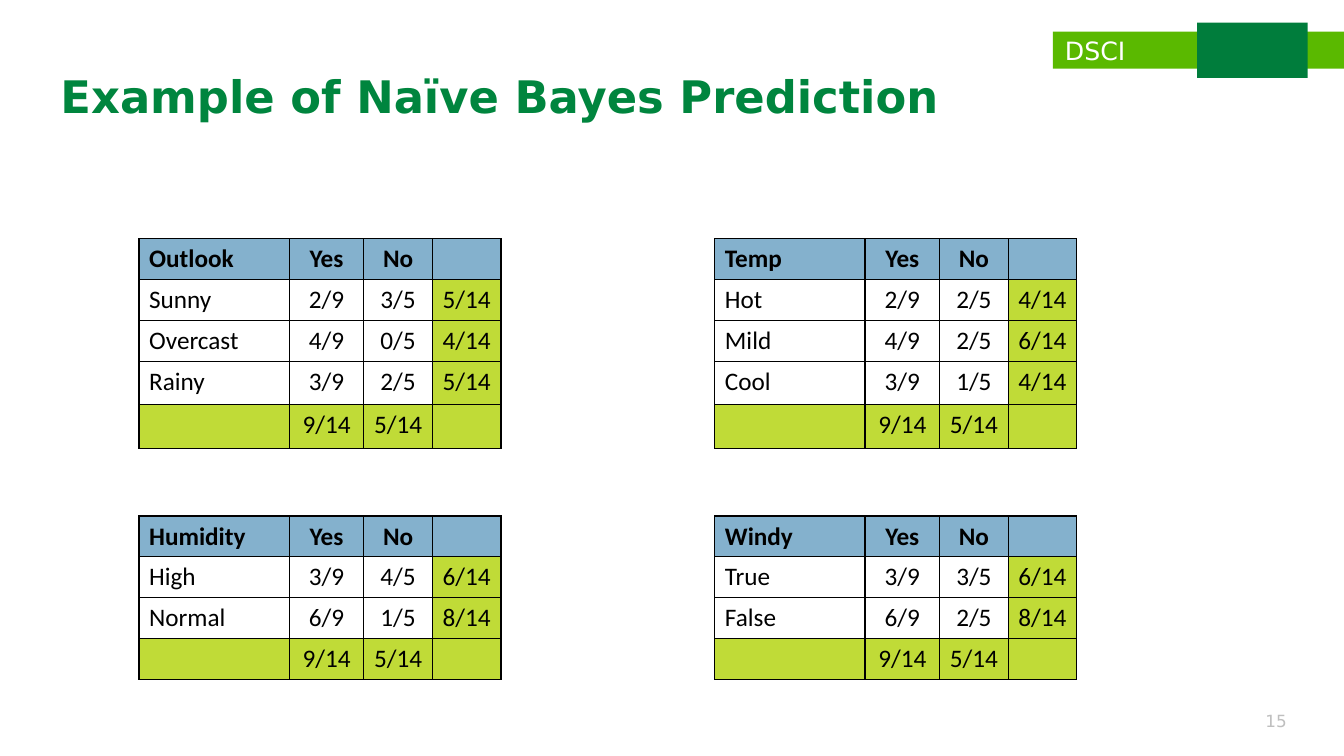
from collections import namedtuple

from lxml.etree import SubElement
from pptx import Presentation
from pptx.dml.color import RGBColor
from pptx.enum.shapes import MSO_SHAPE
from pptx.enum.text import MSO_ANCHOR, PP_ALIGN
from pptx.oxml.ns import qn
from pptx.util import Inches, Pt

Box = namedtuple("Box", "left top width height")
SLIDE = Box(0, 0, Inches(13.33), Inches(7.5))

LIME, GREEN, TITLE_GREEN = "5AB900", "007D3C", "00853E"
HEADER_BLUE, TOTAL_LIME = "84B1CD", "C0DB37"
BLACK, WHITE, GREY = "000000", "FFFFFF", "BFBFBF"
SANS, TABLE_FONT = "DejaVu Sans", "Calibri"

COLUMN_SHARES = (41.5, 20.6, 18.95, 18.95)
ROW_SHARE, TALL_ROW_SHARE = 5.4, 5.75
TOTALS = ["", "9/14", "5/14", ""]
# Each entry: table heading, then its value rows; two tables a line.
TABLES = [
    ("Outlook", ["Sunny 2/9 3/5 5/14", "Overcast 4/9 0/5 4/14", "Rainy 3/9 2/5 5/14"]),
    ("Temp", ["Hot 2/9 2/5 4/14", "Mild 4/9 2/5 6/14", "Cool 3/9 1/5 4/14"]),
    ("Humidity", ["High 3/9 4/5 6/14", "Normal 6/9 1/5 8/14"]),
    ("Windy", ["True 3/9 3/5 6/14", "False 6/9 2/5 8/14"]),
]


def color(hex_string):
    """Turn a hex string into a colour."""
    return RGBColor.from_string(hex_string)


def part(box, left, top, width, height):
    """Return the part of a box given in percent of its size."""
    return Box(int(box.left + box.width * left / 100), int(box.top + box.height * top / 100),
               int(box.width * width / 100), int(box.height * height / 100))


def write(frame, text, size=18, font=SANS, fill=BLACK, bold=False,
          align=PP_ALIGN.LEFT, anchor=MSO_ANCHOR.TOP, spacing=None):
    """Write one formatted paragraph into a text frame."""
    frame.word_wrap = True
    frame.vertical_anchor = anchor
    paragraph = frame.paragraphs[0]
    paragraph.alignment = align
    paragraph.line_spacing = spacing
    run = paragraph.add_run()
    run.text = text
    run.font.size, run.font.name, run.font.bold = Pt(size), font, bold
    run.font.color.rgb = color(fill)


def add_rectangle(slide, box, fill):
    """Add a plain filled rectangle."""
    shape = slide.shapes.add_shape(MSO_SHAPE.RECTANGLE, *box)
    shape.shadow.inherit = False
    shape.fill.solid()
    shape.fill.fore_color.rgb = color(fill)
    shape.line.fill.background()


def add_course_band(slide, box):
    """Place the course label and the green block on the lime band."""
    add_rectangle(slide, part(box, 0, 16.5, 100, 67), LIME)
    label = slide.shapes.add_textbox(*part(box, 0.7, 14.5, 47.4, 73))
    write(label.text_frame, "DSCI", fill=WHITE)
    add_rectangle(slide, part(box, 49.5, 0, 38, 100), GREEN)


def add_title(slide, box):
    """Move and format the title placeholder."""
    title = slide.shapes.title
    title.left, title.top, title.width, title.height = box
    write(title.text_frame, "Example of Naïve Bayes Prediction", size=32, fill=TITLE_GREEN,
          bold=True, anchor=MSO_ANCHOR.MIDDLE, spacing=0.9)


def add_borders(cell):
    """Draw a thin black line on all four sides of a cell."""
    properties = cell._tc.get_or_add_tcPr()
    for index, side in enumerate(("lnL", "lnR", "lnT", "lnB")):
        line = SubElement(properties, qn(f"a:{side}"), w=str(Pt(1)))
        solid = SubElement(line, qn("a:solidFill"))
        SubElement(solid, qn("a:srgbClr"), val=BLACK)
        properties.insert(index, line)


def add_frequency_table(slide, box, heading, value_rows):
    """Add one attribute's likelihood table with totals at right and bottom."""
    rows = [[heading, "Yes", "No", ""], *(line.split() for line in value_rows), TOTALS]
    last_row, last_column = len(rows) - 1, len(COLUMN_SHARES) - 1
    table = slide.shapes.add_table(len(rows), len(COLUMN_SHARES), *box).table
    table.first_row = table.horz_banding = False
    for column, share in zip(table.columns, COLUMN_SHARES):
        column.width = int(box.width * share / 100)
    for index, values in enumerate(rows):
        tall = len(rows) == 5 and index >= 3
        table.rows[index].height = int(SLIDE.height * (TALL_ROW_SHARE if tall else ROW_SHARE) / 100)
        for column, value in enumerate(values):
            cell = table.cell(index, column)
            if index == 0 or index == last_row or column == last_column:
                cell.fill.solid()
                cell.fill.fore_color.rgb = color(TOTAL_LIME if index else HEADER_BLUE)
            else:
                cell.fill.background()
            add_borders(cell)
            if value:
                write(cell.text_frame, value, font=TABLE_FONT, bold=index == 0,
                      align=PP_ALIGN.CENTER if column else PP_ALIGN.LEFT)


def add_table_grid(slide, box):
    """Place the tables two by two in the box."""
    for index, (heading, value_rows) in enumerate(TABLES):
        row, column = divmod(index, 2)
        height = 47.4 if row == 0 else 36.8
        add_frequency_table(slide, part(box, column * 61.4, row * 63.2, 38.6, height),
                            heading, value_rows)


def add_page_number(slide, box):
    """Write the page number in the middle of the box."""
    number = slide.shapes.add_textbox(*box)
    write(number.text_frame, "15", size=12, fill=GREY,
          align=PP_ALIGN.CENTER, anchor=MSO_ANCHOR.MIDDLE)


def build_slide(presentation):
    """Build the prediction example on a title-only slide."""
    slide = presentation.slides.add_slide(presentation.slide_layouts[5])
    add_course_band(slide, part(SLIDE, 78.35, 3, 21.65, 7.3))
    add_title(slide, part(SLIDE, 3.75, 5.33, 85.5, 15.47))
    add_table_grid(slide, part(SLIDE, 10.35, 31.6, 69.77, 58))
    add_page_number(slide, part(SLIDE, 93, 92.7, 3.9, 5.3))


presentation = Presentation()
presentation.slide_width, presentation.slide_height = SLIDE.width, SLIDE.height
build_slide(presentation)
presentation.save("out.pptx")
